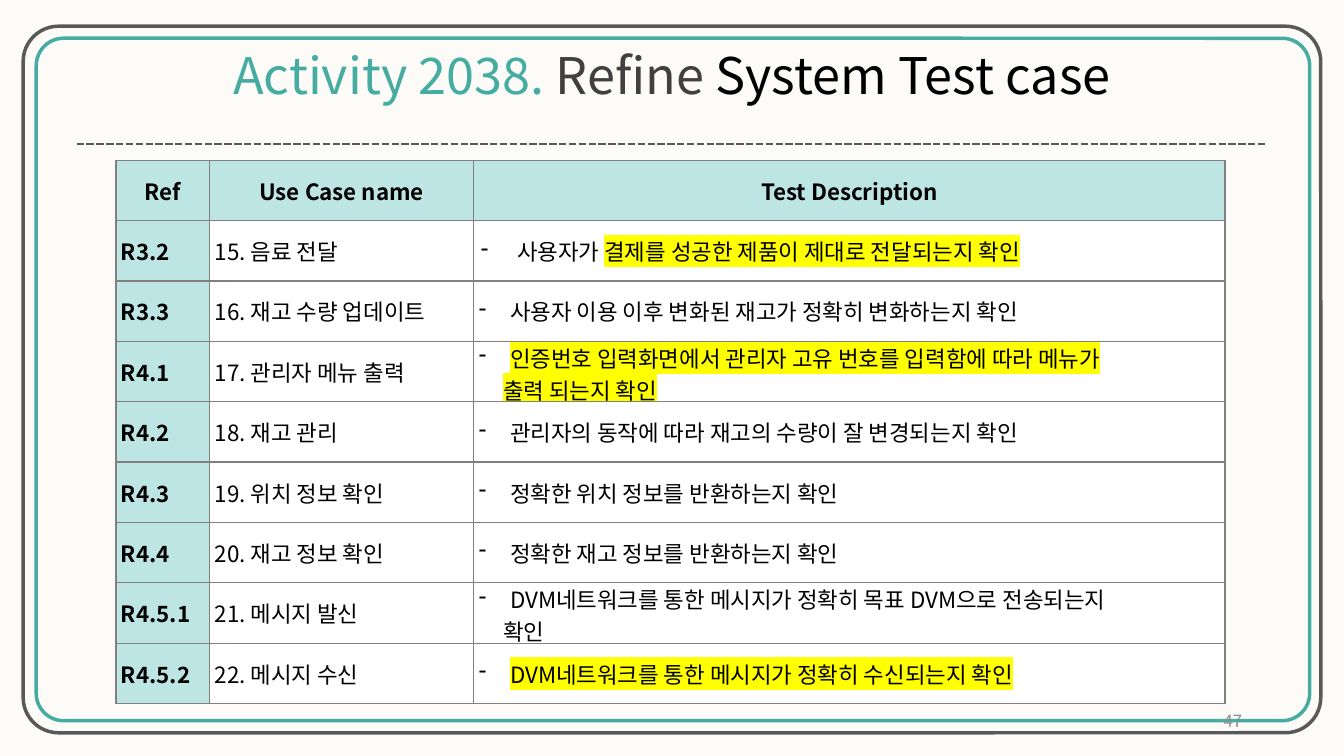
from lxml import etree
from pptx import Presentation
from pptx.dml.color import RGBColor
from pptx.enum.dml import MSO_LINE_DASH_STYLE as Dash
from pptx.enum.shapes import MSO_CONNECTOR as Connector, MSO_SHAPE as Shape
from pptx.enum.text import MSO_ANCHOR as Anchor, PP_ALIGN as Align
from pptx.oxml import parse_xml
from pptx.oxml.ns import nsdecls, qn
from pptx.util import Inches, Pt

TEAL = RGBColor(0x46, 0xAC, 0xA1)
PALE_TEAL = RGBColor(0xBD, 0xE5, 0xE3)
CREAM = RGBColor(0xFC, 0xFB, 0xF7)
WHITE = RGBColor(0xFF, 0xFF, 0xFF)
BLACK = RGBColor(0x00, 0x00, 0x00)
CHARCOAL = RGBColor(0x40, 0x40, 0x40)
DARK_GRAY = RGBColor(0x59, 0x59, 0x59)
MID_GRAY = RGBColor(0x80, 0x80, 0x80)
LIGHT_GRAY = RGBColor(0x8C, 0x8C, 0x8C)
YELLOW = RGBColor(0xFF, 0xFF, 0x00)
FONT = "Noto Sans CJK KR"


def write(para, spans, size, align, color=BLACK, bold=False, face=FONT):
    """Fill a paragraph with (text, text colour, highlight colour) spans."""
    para.alignment = align
    font = para.font
    font.size, font.bold, font.name = Pt(size), bold, face
    font.color.rgb = color
    east_asian = etree.SubElement(font._element, qn("a:ea"))
    east_asian.set("typeface", FONT)
    for text, span_color, highlight in spans:
        span = para.add_run()
        span.text = text
        if span_color is not None:
            span.font.color.rgb = span_color
        if highlight is not None:
            mark = etree.SubElement(span.font._element, qn("a:highlight"))
            etree.SubElement(mark, qn("a:srgbClr")).set("val", str(highlight))


def style_cell(cell, fill, inset):
    """Set the fill, margins, anchor and four borders of a table cell."""
    cell.vertical_anchor = Anchor.MIDDLE
    cell.margin_left = cell.margin_right = Inches(inset)
    cell.margin_top = cell.margin_bottom = 0
    cell.fill.solid()
    cell.fill.fore_color.rgb = fill
    properties = cell._tc.get_or_add_tcPr()
    for place, side in enumerate("LRTB"):
        properties.insert(place, parse_xml(
            f'<a:ln{side} {nsdecls("a")} w="{Pt(1)}"><a:solidFill>'
            f'<a:srgbClr val="{MID_GRAY}"/></a:solidFill></a:ln{side}>'))


deck = Presentation()
deck.slide_width, deck.slide_height = Inches(13.33), Inches(7.5)
page = deck.slides.add_slide(deck.slide_layouts[6])
page.background.fill.solid()
page.background.fill.fore_color.rgb = CREAM

# Double rounded frame
for left, top, width, height, corner, color in (
        (0.36, 0.38, 12.63, 6.77, 0.04, TEAL),
        (0.23, 0.26, 12.87, 7.01, 0.05, DARK_GRAY)):
    frame = page.shapes.add_shape(Shape.ROUNDED_RECTANGLE, Inches(left), Inches(top),
                                  Inches(width), Inches(height))
    frame.adjustments[0] = corner
    frame.shadow.inherit = False
    frame.fill.background()
    frame.line.color.rgb = color
    frame.line.width = Pt(2.5)

# Title
title = page.shapes.add_textbox(Inches(2.19), Inches(0.39), Inches(8.95), Inches(0.71))
title.text_frame.word_wrap = False
write(title.text_frame.paragraphs[0],
      [("Activity 2038. ", TEAL, None), ("Refine", CHARCOAL, None),
       (" System Test case", None, None)], 36, Align.CENTER)

# Dashed rule under the title
rule = page.shapes.add_connector(Connector.STRAIGHT, Inches(0.76), Inches(1.43),
                                 Inches(12.57), Inches(1.43))
rule.line.color.rgb = DARK_GRAY
rule.line.width = Pt(1.75)
rule.line.dash_style = Dash.SQUARE_DOT
etree.SubElement(rule._element.spPr, qn("a:effectLst"))

# Page number
number = page.shapes.add_textbox(Inches(9.42), Inches(6.95), Inches(3), Inches(0.4))
number.text_frame.word_wrap = True
number.text_frame.vertical_anchor = Anchor.MIDDLE
write(number.text_frame.paragraphs[0], [("47", None, None)], 12, Align.RIGHT, LIGHT_GRAY)

# Test cases: reference, use case, description lines made of (text, highlight) spans
HEADINGS = ("Ref", "Use Case name", "Test Description")
CASES = (
    ("R3.2", "15. 음료 전달",
     [[("사용자가 ", None), ("결제를 성공한 제품이 제대로 전달되는지 확인", YELLOW)]]),
    ("R3.3", "16. 재고 수량 업데이트",
     [[("사용자 이용 이후 변화된 재고가 정확히 변화하는지 확인", None)]]),
    ("R4.1", "17. 관리자 메뉴 출력",
     [[("인증번호 입력화면에서 관리자 고유 번호를 입력함에 따라 메뉴가", YELLOW)],
      [("출력 되는지 확인", YELLOW)]]),
    ("R4.2", "18. 재고 관리",
     [[("관리자의 동작에 따라 재고의 수량이 잘 변경되는지 확인", None)]]),
    ("R4.3", "19. 위치 정보 확인", [[("정확한 위치 정보를 반환하는지 확인", None)]]),
    ("R4.4", "20. 재고 정보 확인", [[("정확한 재고 정보를 반환하는지 확인", None)]]),
    ("R4.5.1", "21. 메시지 발신",
     [[("DVM네트워크를 통한 메시지가 정확히 목표 DVM으로 전송되는지", None)],
      [("확인", None)]]),
    ("R4.5.2", "22. 메시지 수신",
     [[("DVM네트워크를 통한 메시지가 정확히 수신되는지 확인", YELLOW)]]),
)

# Table grid
COLUMNS = (0.93, 2.62, 7.45)
ROW_COUNT = len(CASES) + 1
table = page.shapes.add_table(ROW_COUNT, len(COLUMNS), Inches(1.15), Inches(1.59),
                              Inches(sum(COLUMNS)), Inches(5.39)).table
table.horz_banding = False
for column, width in zip(table.columns, COLUMNS):
    column.width = Inches(width)
for row in table.rows:
    row.height = Inches(5.39 / ROW_COUNT)

# Heading row
for column, heading in enumerate(HEADINGS):
    cell = table.cell(0, column)
    style_cell(cell, PALE_TEAL, 0.05)
    write(cell.text_frame.paragraphs[0], [(heading, None, None)], 16, Align.CENTER, bold=True)

# Case rows
for row, (reference, use_case, lines) in enumerate(CASES, start=1):
    for column, (text, fill) in enumerate(((reference, PALE_TEAL), (use_case, WHITE))):
        cell = table.cell(row, column)
        style_cell(cell, fill, 0.05)
        write(cell.text_frame.paragraphs[0], [(text, None, None)], 16, Align.JUSTIFY,
              bold=column == 0)

    inset, indent = (0.07, 0.36) if row == 1 else (0.05, 0.31)
    cell = table.cell(row, 2)
    style_cell(cell, WHITE, inset)
    for place, line in enumerate(lines):
        frame = cell.text_frame
        para = frame.paragraphs[0] if place == 0 else frame.add_paragraph()
        write(para, [(text, None, highlight) for text, highlight in line], 16,
              Align.JUSTIFY, face="Arial" if row == 1 else FONT)
        layout = para._p.get_or_add_pPr()
        if place == 0:
            layout.set("marL", str(Inches(indent)))
            layout.set("indent", str(-Inches(indent)))
            layout.insert(0, parse_xml(f'<a:buChar {nsdecls("a")} char="-"/>'))
        else:
            layout.set("marL", str(Inches(0.24)))

deck.save("out.pptx")
